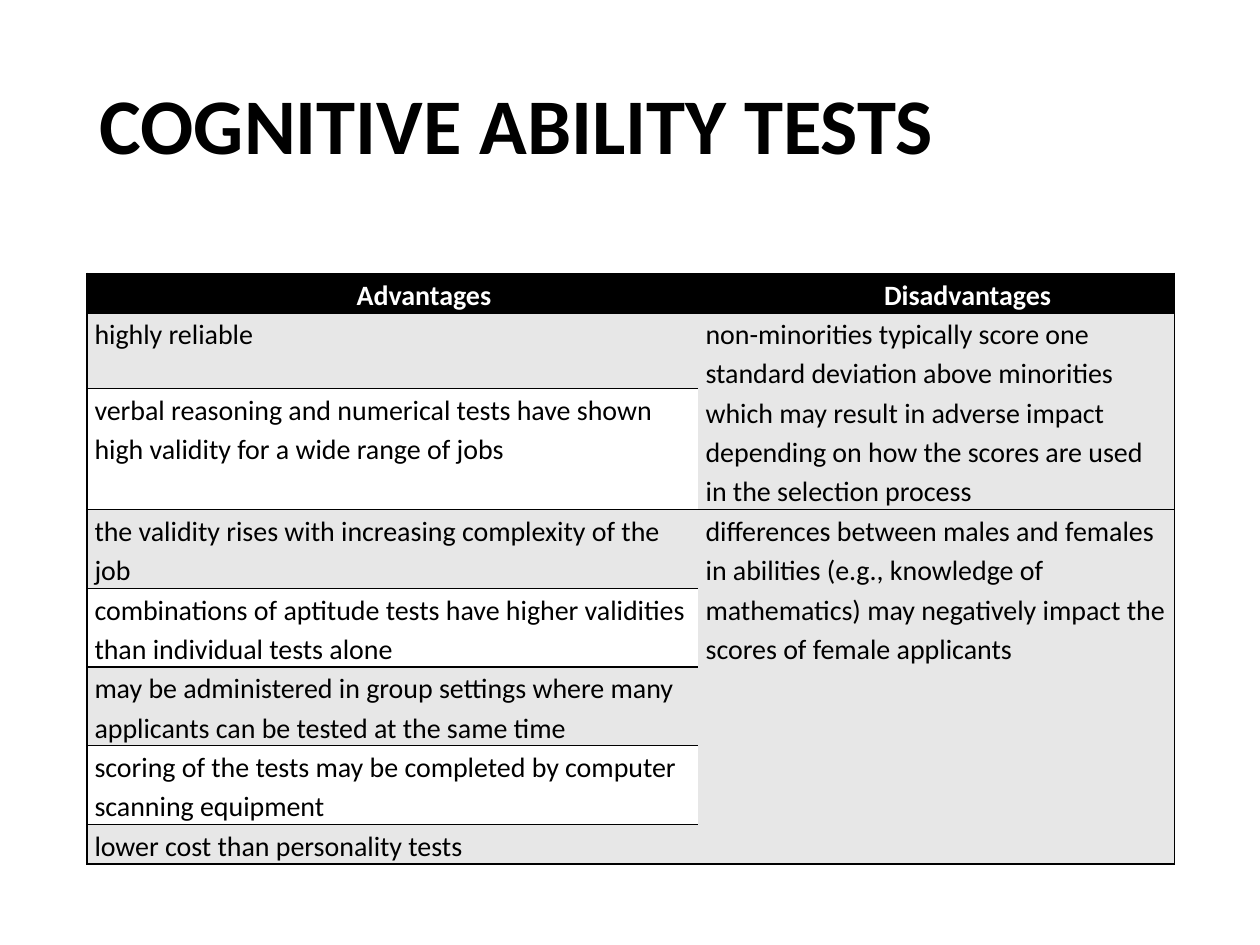
from lxml.etree import SubElement
from pptx import Presentation
from pptx.dml.color import RGBColor
from pptx.enum.text import MSO_ANCHOR, PP_ALIGN
from pptx.oxml.ns import qn
from pptx.util import Inches, Pt

BLACK = RGBColor(0x00, 0x00, 0x00)
WHITE = RGBColor(0xFF, 0xFF, 0xFF)
GREY = RGBColor(0xE7, 0xE7, 0xE7)

TITLE = "COGNITIVE ABILITY TESTS"
HEADINGS = ["Advantages", "Disadvantages"]
ADVANTAGES = [
    "highly reliable",
    "verbal reasoning and numerical tests have shown high validity for a wide range of jobs",
    "the validity rises with increasing complexity of the job",
    "combinations of aptitude tests have higher validities than individual tests alone",
    "may be administered in group settings where many applicants can be tested at the same time",
    "scoring of the tests may be completed by computer scanning equipment",
    "lower cost than personality tests",
]
# First row, last row, text
DISADVANTAGES = [
    (1, 2, "non-minorities typically score one standard deviation above minorities which may "
           "result in adverse impact depending on how the scores are used in the selection process"),
    (3, 7, "differences between males and females in abilities (e.g., knowledge of mathematics) "
           "may negatively impact the scores of female applicants"),
]
COLUMN_WIDTHS = [4.85, 3.78]
ROW_HEIGHTS = [0.31, 0.6, 0.9, 0.6, 0.61, 0.61, 0.61, 0.31]
OUTER_SIDES = ["lnL", "lnR"]  # ruled side of each column

TITLE_FONT = {"name": "Calibri", "size": Pt(45), "bold": True}
HEADING_FONT = {"name": "Calibri", "size": Pt(16), "bold": True}
BODY_FONT = {"name": "Calibri", "size": Pt(16), "bold": False}
CELL_MARGINS = {"margin_left": Inches(0.06), "margin_right": Inches(0.06),
                "margin_top": 0, "margin_bottom": 0}


def set_attributes(target, values):
    for name, value in values.items():
        setattr(target, name, value)


def set_borders(cell, ruled_sides):
    properties = cell._tc.get_or_add_tcPr()
    for position, side in enumerate(["lnL", "lnR", "lnT", "lnB"]):
        line = properties.makeelement(qn("a:" + side), {"w": str(Pt(1))})
        if side in ruled_sides:
            fill = SubElement(line, qn("a:solidFill"))
            SubElement(fill, qn("a:srgbClr"), val=str(BLACK))
        else:
            SubElement(line, qn("a:noFill"))
        properties.insert(position, line)


def write_cell(cell, text, font, color):
    set_attributes(cell, CELL_MARGINS)
    cell.text = text
    paragraph = cell.text_frame.paragraphs[0]
    paragraph.line_spacing = 1.15
    set_attributes(paragraph.font, font)
    paragraph.font.color.rgb = color
    return paragraph


def add_title(slide):
    title = slide.shapes.title
    set_attributes(title, {"left": Inches(0.69), "top": Inches(0.2),
                           "width": Inches(8.62), "height": Inches(1.65)})
    title.text_frame.text = TITLE
    title.text_frame.vertical_anchor = MSO_ANCHOR.MIDDLE
    paragraph = title.text_frame.paragraphs[0]
    set_attributes(paragraph, {"alignment": PP_ALIGN.LEFT, "line_spacing": 0.9,
                               "space_after": Pt(6)})
    properties = paragraph._p.get_or_add_pPr()
    properties.set("marL", str(Inches(0.75)))
    properties.set("indent", str(-Inches(0.75)))
    set_attributes(paragraph.font, TITLE_FONT)
    paragraph.font.color.rgb = BLACK


def add_comparison_table(slide):
    table = slide.shapes.add_table(
        len(ROW_HEIGHTS), len(COLUMN_WIDTHS), Inches(0.69), Inches(2.17),
        Inches(sum(COLUMN_WIDTHS)), Inches(sum(ROW_HEIGHTS))).table
    for column, width in zip(table.columns, COLUMN_WIDTHS):
        column.width = Inches(width)
    for row, height in zip(table.rows, ROW_HEIGHTS):
        row.height = Inches(height)

    for row in range(len(ROW_HEIGHTS)):
        for column, side in enumerate(OUTER_SIDES):
            cell = table.cell(row, column)
            set_attributes(cell, CELL_MARGINS)
            set_borders(cell, [side, "lnT", "lnB"])
            cell.fill.solid()
            striped = WHITE if column == 0 and row % 2 == 0 else GREY
            cell.fill.fore_color.rgb = BLACK if row == 0 else striped

    for column, heading in enumerate(HEADINGS):
        paragraph = write_cell(table.cell(0, column), heading, HEADING_FONT, WHITE)
        paragraph.alignment = PP_ALIGN.CENTER
        paragraph._p.get_or_add_pPr().set("marL", str(Inches(0.5)))
    for row, text in enumerate(ADVANTAGES, start=1):
        write_cell(table.cell(row, 0), text, BODY_FONT, BLACK)
    for first, last, text in DISADVANTAGES:
        cell = table.cell(first, 1)
        cell.merge(table.cell(last, 1))
        write_cell(cell, text, BODY_FONT, BLACK)


def main():
    presentation = Presentation()
    presentation.slide_width = Inches(10)
    presentation.slide_height = Inches(7.5)
    slide = presentation.slides.add_slide(presentation.slide_layouts[5])
    add_title(slide)
    add_comparison_table(slide)
    presentation.save("out.pptx")


if __name__ == "__main__":
    main()
